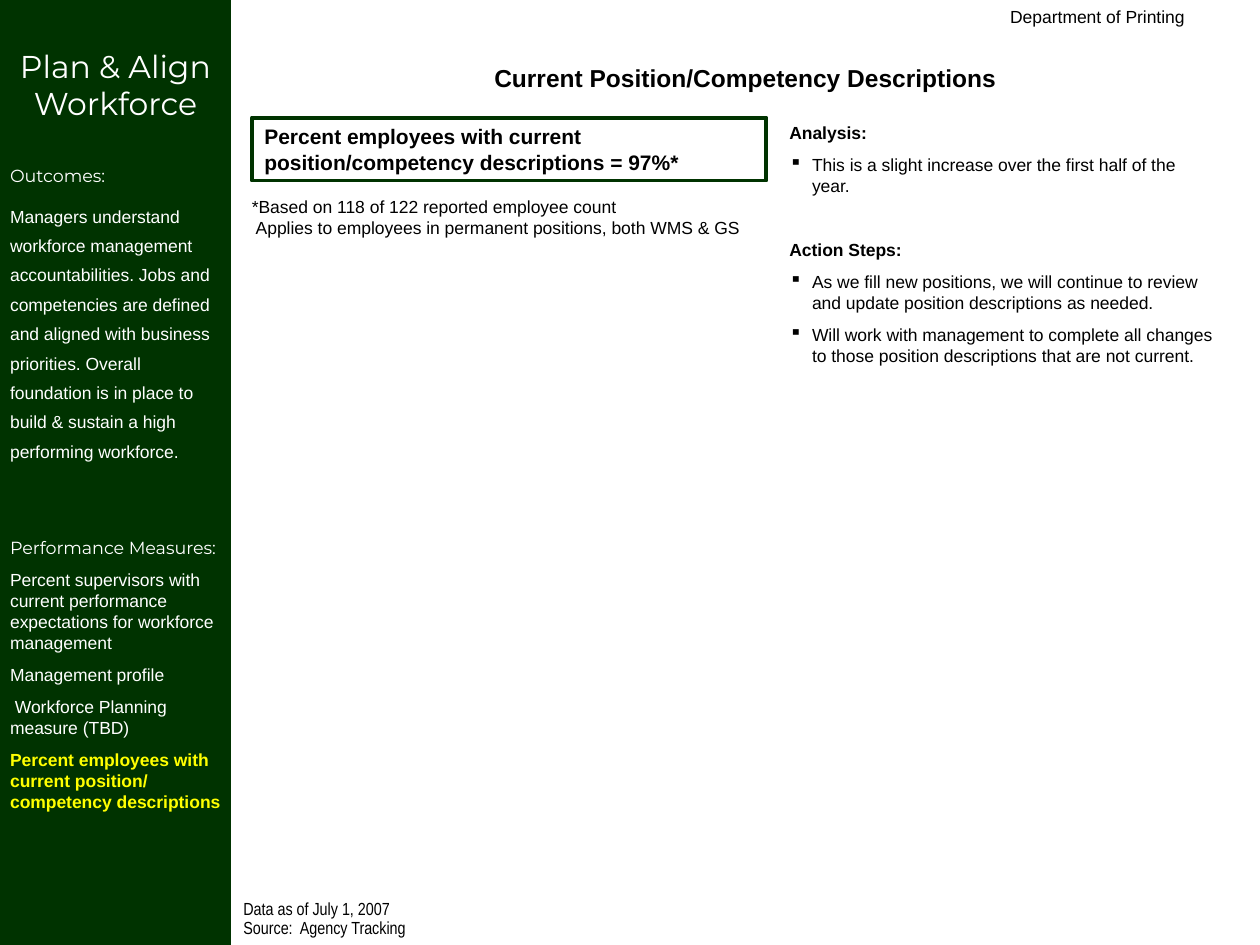
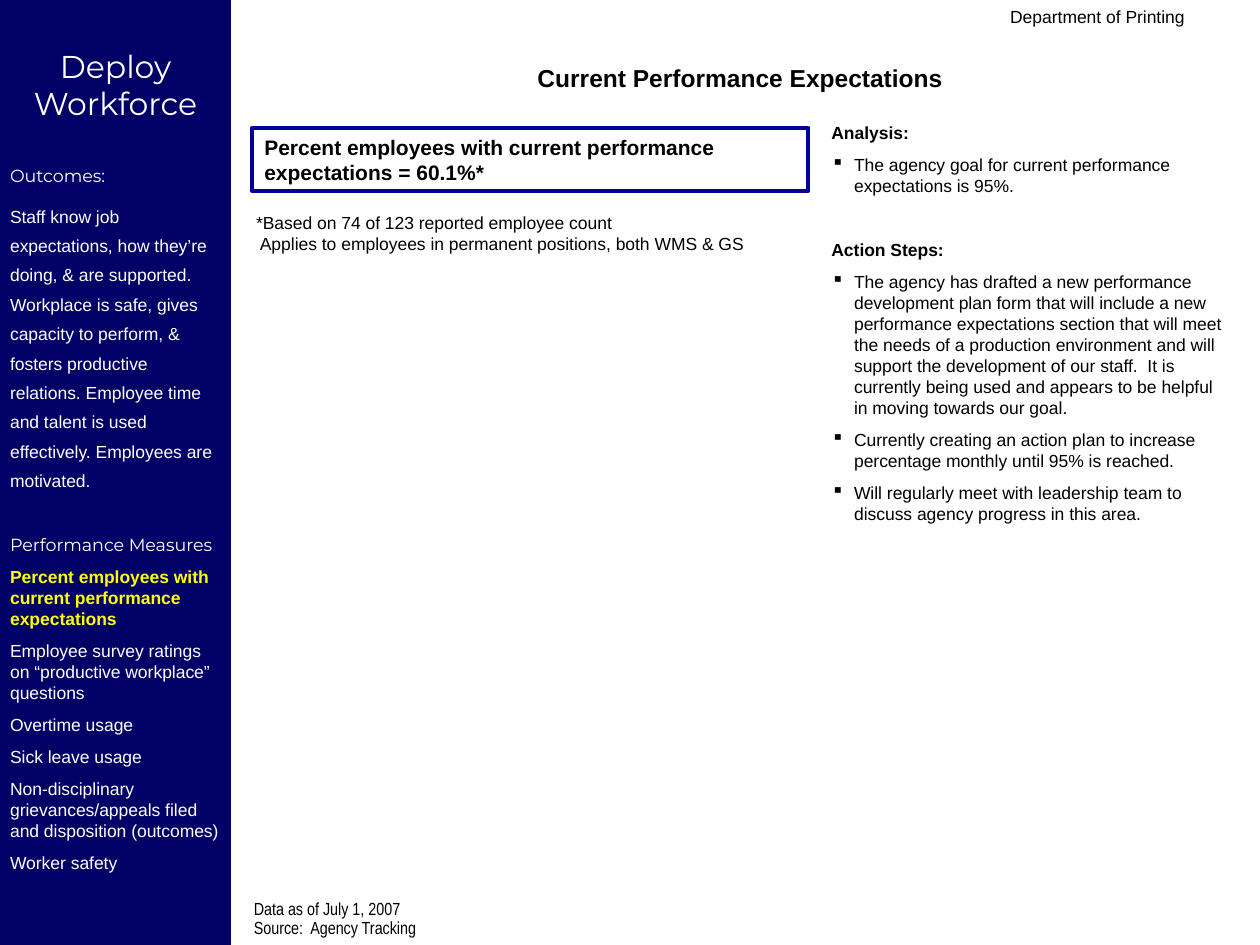
from lxml import etree
from pptx import Presentation
from pptx import util as u
from pptx.dml.color import RGBColor
from pptx.enum import shapes, text
from pptx.oxml import ns

BLACK = RGBColor(0x00, 0x00, 0x00)
WHITE = RGBColor(0xFF, 0xFF, 0xFF)
YELLOW = RGBColor(0xFF, 0xFF, 0x00)
GREEN = RGBColor(0x00, 0x33, 0x00)
NAVY = RGBColor(0x00, 0x00, 0x66)
BLUE = RGBColor(0x00, 0x00, 0x99)

BODY, NARROW, DISPLAY = "Arial", "Arial Narrow", "Montserrat"
GAP, SECTION_GAP = 6.2, 24.6
HANG = u.Inches(0.18)

DEPARTMENT = "Department of Printing"
SOURCE = ["Data as of July 1, 2007", "Source:  Agency Tracking"]
SCOPE = "\n Applies to employees in permanent positions, both WMS & GS"

COLUMNS, ROWS = 120, 90
SIDEBAR_GRID = (0, 0, 22, 90)
DEPARTMENT_GRID = (54, 0, 60, 3)

PAGES = [
    dict(
        title="Current Position/Competency Descriptions",
        band=GREEN, frame=GREEN,
        stage="Plan & Align Workforce",
        outcomes="Managers understand workforce management accountabilities. "
                 "Jobs and competencies are defined and aligned with business "
                 "priorities. Overall foundation is in place to build & sustain "
                 "a high performing workforce.",
        measures_heading="Performance Measures:", measures_gap=43,
        measures=[
            "Percent supervisors with current performance expectations for "
            "workforce management",
            "Management profile",
            " Workforce Planning measure (TBD)",
            "Percent employees with current position/ competency descriptions",
        ],
        current=3,
        result="Percent employees with current position/competency "
               "descriptions = 97%*",
        basis="*Based on 118 of 122 reported employee count",
        analysis=["This is a slight increase over the first half of the year."],
        actions=[
            "As we fill new positions, we will continue to review and update "
            "position descriptions as needed.",
            "Will work with management to complete all changes to those "
            "position descriptions that are not current.",
        ],
        grid=dict(title=(23, 5.4, 96, 4), result=(24, 11.2, 49, 6),
                  basis=(22.8, 18.1, 49.8, 5.3), comments=(74, 11, 43, 27.5),
                  source=(22, 85.5, 58, 4.5)),
    ),
    dict(
        title="Current Performance Expectations",
        band=NAVY, frame=BLUE,
        stage="Deploy Workforce",
        outcomes="Staff know job expectations, how they’re doing, & are "
                 "supported. Workplace is safe, gives capacity to perform, & "
                 "fosters productive relations. Employee time and talent is "
                 "used effectively. Employees are motivated.",
        measures_heading="Performance Measures", measures_gap=SECTION_GAP,
        measures=[
            "Percent employees with current performance expectations",
            "Employee survey ratings on “productive workplace” questions",
            "Overtime usage",
            "Sick leave usage",
            "Non-disciplinary grievances/appeals filed and disposition (outcomes)",
            "Worker safety",
        ],
        current=0,
        result="Percent employees with current performance expectations = 60.1%*",
        basis="*Based on 74 of 123 reported employee count",
        analysis=["The agency goal for current performance expectations is 95%."],
        actions=[
            "The agency has drafted a new performance development plan form "
            "that will include a new performance expectations section that "
            "will meet the needs of a production environment and will support "
            "the development of our staff.  It is currently being used and "
            "appears to be helpful in moving towards our goal.",
            "Currently creating an action plan to increase percentage monthly "
            "until 95% is reached.",
            "Will regularly meet with leadership team to discuss agency "
            "progress in this area.",
        ],
        grid=dict(title=(22, 5.4, 97, 4), result=(24, 12.2, 53, 6),
                  basis=(23.2, 19.6, 49.8, 5.3), comments=(78, 11, 40, 48.6),
                  source=(23, 85.5, 58, 4.5)),
    ),
]

prs = Presentation()
prs.slide_width, prs.slide_height = u.Inches(10), u.Inches(7.5)


def place(grid):
    column, row = prs.slide_width / COLUMNS, prs.slide_height / ROWS
    left, top, width, height = grid
    return (round(left * column), round(top * row),
            round(width * column), round(height * row))


def prepare(frame, side=0.1, top=0.05, anchor=text.MSO_ANCHOR.TOP):
    frame.word_wrap = True
    frame.auto_size = text.MSO_AUTO_SIZE.NONE
    frame.vertical_anchor = anchor
    frame.margin_left = frame.margin_right = u.Inches(side)
    frame.margin_top, frame.margin_bottom = u.Inches(top), u.Inches(0.05)
    return frame


def write(frame, words, size=10, font=BODY, color=BLACK, bold=False,
          align=text.PP_ALIGN.LEFT, before=0, spacing=None, bullet=False):
    first = not frame.text
    paragraph = frame.paragraphs[0] if first else frame.add_paragraph()
    paragraph.text = words
    paragraph.alignment = align
    paragraph.space_before = u.Pt(0 if first else before)
    if spacing:
        paragraph.line_spacing = spacing
    if bullet:
        properties = paragraph._p.get_or_add_pPr()
        properties.set("marL", str(HANG))
        properties.set("indent", str(-HANG))
        etree.SubElement(properties, ns.qn("a:buChar")).set("char", "▪")
    paragraph.font.size = u.Pt(size)
    paragraph.font.name = font
    paragraph.font.color.rgb = color
    paragraph.font.bold = bold


def add_text(slide, grid):
    return prepare(slide.shapes.add_textbox(*place(grid)).text_frame)


def add_rectangle(slide, grid):
    rectangle = slide.shapes.add_shape(shapes.MSO_SHAPE.RECTANGLE, *place(grid))
    rectangle.shadow.inherit = False
    return rectangle


def add_title(slide, page):
    title = slide.shapes.title
    title.left, title.top, title.width, title.height = place(page["grid"]["title"])
    write(prepare(title.text_frame), page["title"], size=14, bold=True,
          align=text.PP_ALIGN.CENTER)


def add_sidebar(slide, page):
    sidebar = add_rectangle(slide, SIDEBAR_GRID)
    sidebar.fill.solid()
    sidebar.fill.fore_color.rgb = page["band"]
    sidebar.line.fill.background()
    frame = prepare(sidebar.text_frame, side=0.08, top=0.37)
    write(frame, page["stage"], size=18, font=DISPLAY, color=WHITE,
          align=text.PP_ALIGN.CENTER)
    write(frame, "Outcomes:", font=DISPLAY, color=WHITE, before=SECTION_GAP)
    write(frame, page["outcomes"], color=WHITE, before=GAP, spacing=1.4)
    write(frame, page["measures_heading"], font=DISPLAY, color=WHITE,
          before=page["measures_gap"])
    for index, measure in enumerate(page["measures"]):
        current = index == page["current"]
        write(frame, measure, color=YELLOW if current else WHITE,
              bold=current, before=GAP)


def add_result(slide, page):
    result = add_rectangle(slide, page["grid"]["result"])
    result.fill.background()
    result.line.color.rgb = page["frame"]
    result.line.width = u.Pt(2.25)
    write(prepare(result.text_frame, anchor=text.MSO_ANCHOR.MIDDLE),
          page["result"], size=12, bold=True)
    write(add_text(slide, page["grid"]["basis"]), page["basis"] + SCOPE)


def add_comments(slide, page):
    frame = add_text(slide, page["grid"]["comments"])
    for heading, points in (("Analysis:", page["analysis"]),
                            ("Action Steps:", page["actions"])):
        write(frame, heading, bold=True, before=SECTION_GAP)
        for point in points:
            write(frame, point, before=GAP, bullet=True)


def add_source(slide, page):
    frame = add_text(slide, page["grid"]["source"])
    for line in SOURCE:
        write(frame, line, font=NARROW, before=2.5, spacing=0.7)


def main():
    for page in PAGES:
        slide = prs.slides.add_slide(prs.slide_layouts[5])
        add_title(slide, page)
        add_sidebar(slide, page)
        add_result(slide, page)
        add_comments(slide, page)
        add_source(slide, page)
        write(add_text(slide, DEPARTMENT_GRID), DEPARTMENT,
              align=text.PP_ALIGN.RIGHT)
    prs.save("out.pptx")


if __name__ == "__main__":
    main()
